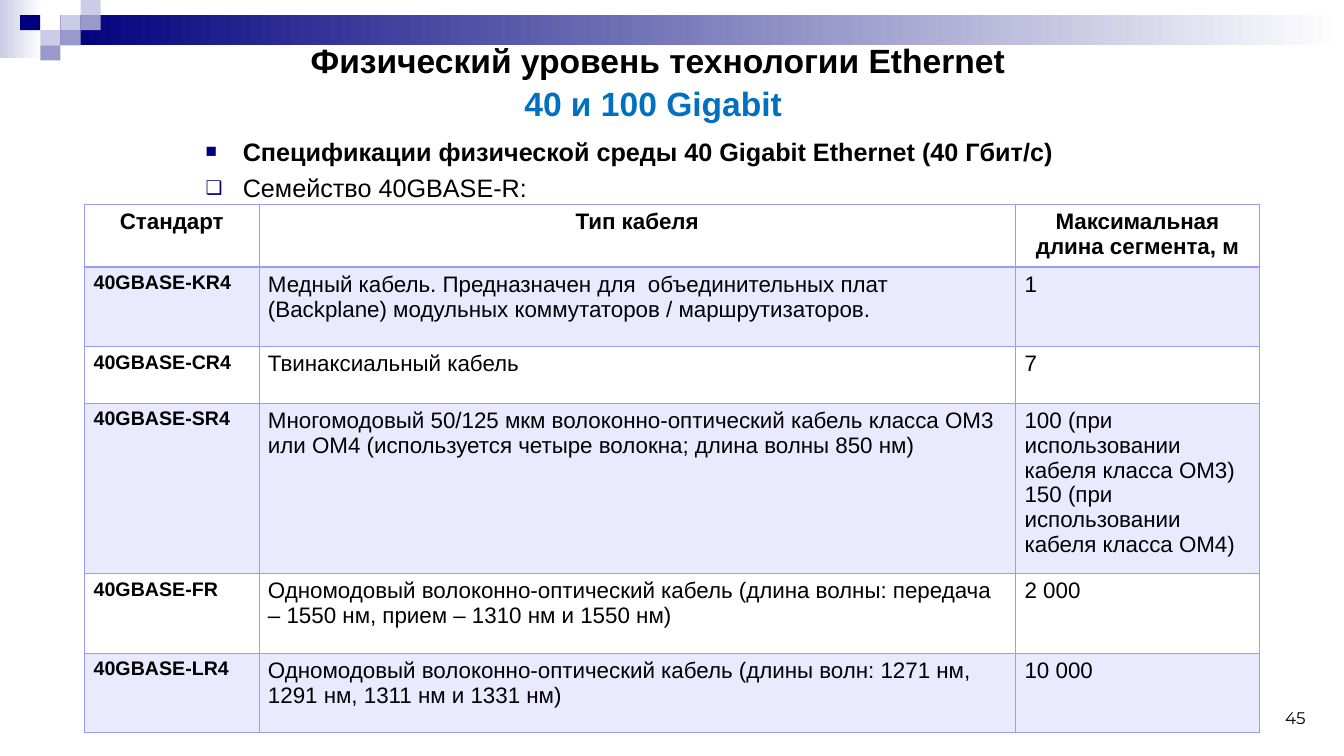
from lxml import etree
from pptx import Presentation
from pptx import util as u
from pptx.dml.color import RGBColor
from pptx.enum import shapes, text
from pptx.oxml import ns

BLACK = RGBColor(0x00, 0x00, 0x00)
BLUE = RGBColor(0x00, 0x70, 0xC0)
NAVY = RGBColor(0x00, 0x00, 0x7D)
WHITE = RGBColor(0xFF, 0xFF, 0xFF)
PALE = RGBColor(0xCC, 0xCC, 0xE6)
MUTED = RGBColor(0x99, 0x99, 0xCC)
LILAC = RGBColor(0x99, 0x99, 0xFF)

CENTER = text.PP_ALIGN.CENTER
LEFT = text.PP_ALIGN.LEFT

TILE_WIDTH, TILE_HEIGHT = 0.2, 0.15
TILES = [(3, 1, PALE), (4, 0, PALE), (4, 1, MUTED), (2, 2, PALE),
         (1, 1, NAVY), (3, 2, MUTED), (2, 3, MUTED)]

BULLETS = [("■", "Спецификации физической среды 40 Gigabit Ethernet (40 Гбит/с)", True),
           ("❑", "Семейство 40GBASE-R:", False)]

COLUMN_WIDTHS = [1.73, 7.51, 2.42]
ROW_HEIGHTS = [0.62, 0.79, 0.56, 1.69, 0.79, 0.79]
ROWS = [
    ("Стандарт", "Тип кабеля", "Максимальная длина сегмента, м"),
    ("40GBASE-KR4",
     "Медный кабель. Предназначен для  объединительных плат (Backplane) "
     "модульных коммутаторов / маршрутизаторов.", "1"),
    ("40GBASE-CR4", "Твинаксиальный кабель", "7"),
    ("40GBASE-SR4",
     "Многомодовый 50/125 мкм волоконно-оптический кабель класса OM3 или OM4 "
     "(используется четыре волокна; длина волны 850 нм)",
     "100 (при использовании кабеля класса OM3)\n150 (при использовании кабеля класса OM4)"),
    ("40GBASE-FR",
     "Одномодовый волоконно-оптический кабель (длина волны: передача – 1550 нм, "
     "прием – 1310 нм и 1550 нм)", "2 000"),
    ("40GBASE-LR4",
     "Одномодовый волоконно-оптический кабель (длины волн: 1271 нм, 1291 нм, "
     "1311 нм и 1331 нм)", "10 000"),
]


def add_node(parent, tag, **attributes):
    return etree.SubElement(parent, ns.qn(tag), attributes)


class SlideBuilder:
    def __init__(self, slide):
        self.slide = slide
        self.style = {"name": "Arial", "size": u.Pt(16), "bold": False}

    def format_span(self, span, color=BLACK, **changes):
        for name, value in {**self.style, **changes}.items():
            setattr(span.font, name, value)
        span.font.color.rgb = color

    def place(self, box, left, top, width, height):
        values = {"left": left, "top": top, "width": width, "height": height}
        for name, value in values.items():
            setattr(box, name, u.Inches(value))

    def format_frame(self, frame, anchor):
        values = {"word_wrap": True, "auto_size": text.MSO_AUTO_SIZE.NONE,
                  "vertical_anchor": anchor}
        for name, value in values.items():
            setattr(frame, name, value)

    def rectangle(self, left, top, width, height, *colors):
        box = self.slide.shapes.add_shape(
            shapes.MSO_SHAPE.RECTANGLE, *map(u.Inches, (left, top, width, height)))
        box.shadow.inherit = False
        box.line.fill.background()
        if len(colors) == 1:
            box.fill.solid()
            box.fill.fore_color.rgb = colors[0]
        else:
            box.fill.gradient()
            box.fill.gradient_angle = 0
            for stop, color in zip(box.fill.gradient_stops, colors):
                stop.color.rgb = color

    def title(self, spans, *bounds):
        box = self.slide.shapes.title
        self.place(box, *bounds)
        self.format_frame(box.text_frame, text.MSO_ANCHOR.MIDDLE)
        para = box.text_frame.paragraphs[0]
        para.alignment = CENTER
        para.line_spacing = 1.06
        for words, color in spans:
            span = para.add_run()
            span.text = words
            self.format_span(span, color, size=u.Pt(24), bold=True)

    def bullets(self, items, *bounds):
        box = self.slide.placeholders[1]
        self.place(box, *bounds)
        frame = box.text_frame
        self.format_frame(frame, text.MSO_ANCHOR.TOP)
        for index, (mark, words, bold) in enumerate(items):
            para = frame.add_paragraph() if index else frame.paragraphs[0]
            para.alignment = text.PP_ALIGN.JUSTIFY
            para.space_before = u.Pt(4.5 if index else 0)
            props = para._p.get_or_add_pPr()
            props.set("marL", str(u.Inches(0.37)))
            props.set("indent", str(-u.Inches(0.37)))
            add_node(add_node(props, "a:buClr"), "a:srgbClr", val=str(NAVY))
            add_node(props, "a:buSzPct", val="75000")
            add_node(props, "a:buFont", typeface="Arial")
            add_node(props, "a:buChar", char=mark)
            span = para.add_run()
            span.text = words
            self.format_span(span, size=u.Pt(18), bold=bold)

    def borders(self, cell, row):
        props = cell._tc.get_or_add_tcPr()
        heavy_side = {0: "B", 1: "T"}.get(row)
        for index, side in enumerate("LRTB"):
            width = u.Pt(0.96 if side == heavy_side else 0.45)
            line = etree.Element(ns.qn(f"a:ln{side}"), w=str(width))
            add_node(add_node(line, "a:solidFill"), "a:srgbClr", val=str(LILAC))
            props.insert(index, line)

    def cell(self, cell, words, row, column):
        margins = {"margin_left": 0.09, "margin_right": 0.09,
                   "margin_top": 0.05, "margin_bottom": 0.05}
        for name, value in margins.items():
            setattr(cell, name, u.Inches(value))
        cell.text = words
        is_header = row == 0
        is_standard = column == 0 and not is_header
        for para in cell.text_frame.paragraphs:
            para.alignment = CENTER if is_header else LEFT
            for span in para.runs:
                self.format_span(span, size=u.Pt(14 if is_standard else 16),
                                 bold=is_header or is_standard)
        if row % 2:
            cell.fill.solid()
            cell.fill.fore_color.rgb = LILAC
            color = cell._tc.tcPr.find(".//" + ns.qn("a:srgbClr"))
            add_node(color, "a:alpha", val="20000")
        else:
            cell.fill.background()
        self.borders(cell, row)

    def table(self, rows, left, top):
        bounds = (left, top, sum(COLUMN_WIDTHS), sum(ROW_HEIGHTS))
        table = self.slide.shapes.add_table(
            len(rows), len(COLUMN_WIDTHS), *map(u.Inches, bounds)).table
        table.first_row = table.horz_banding = False
        for column, width in zip(table.columns, COLUMN_WIDTHS):
            column.width = u.Inches(width)
        for row, height in zip(table.rows, ROW_HEIGHTS):
            row.height = u.Inches(height)
        for row, values in enumerate(rows):
            for column, words in enumerate(values):
                self.cell(table.cell(row, column), words, row, column)

    def page_number(self, number, *bounds):
        box = self.slide.shapes.add_textbox(*map(u.Inches, bounds))
        self.format_frame(box.text_frame, text.MSO_ANCHOR.BOTTOM)
        para = box.text_frame.paragraphs[0]
        para.alignment = text.PP_ALIGN.RIGHT
        span = para.add_run()
        span.text = number
        self.format_span(span, name="Montserrat", size=u.Pt(12))


def main():
    deck = Presentation()
    deck.slide_width, deck.slide_height = u.Inches(13.34), u.Inches(7.5)
    page = SlideBuilder(deck.slides.add_slide(deck.slide_layouts[1]))
    page.rectangle(0, 0, 0.42, 0.58, PALE, WHITE)
    page.rectangle(0.6, 0.15, 12.73, 0.3, NAVY, WHITE)
    for column, row, color in TILES:
        page.rectangle(column * TILE_WIDTH, row * TILE_HEIGHT, TILE_WIDTH, TILE_HEIGHT, color)
    page.title([("Физический уровень технологии Ethernet ", BLACK),
                ("40 и 100 Gigabit ", BLUE)], 2.93, 0.52, 7.2, 0.56)
    page.bullets(BULLETS, 1.94, 1.3, 9.41, 0.79)
    page.table(ROWS, 0.84, 2.03)
    page.page_number("45", 12.26, 6.77, 0.8, 0.5)
    deck.save("out.pptx")


if __name__ == "__main__":
    main()
